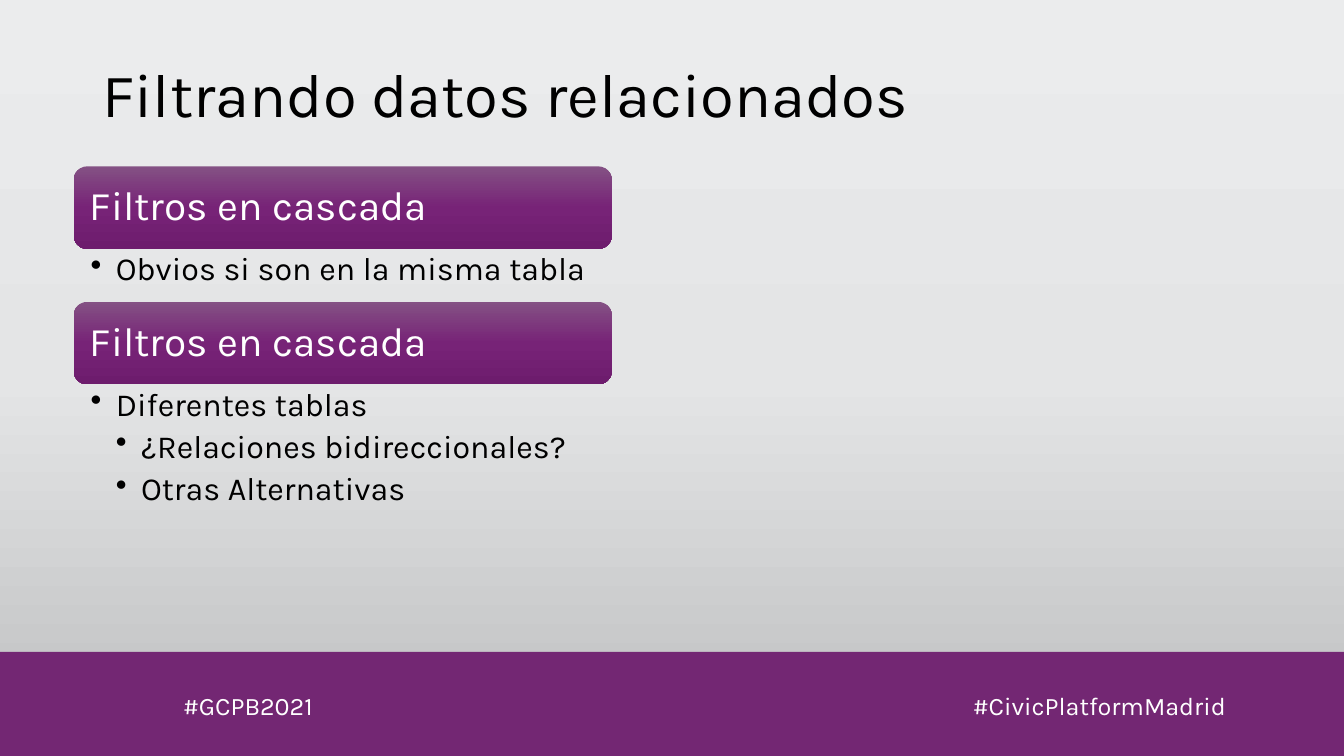
from copy import deepcopy

from pptx import Presentation
from pptx.dml.color import RGBColor
from pptx.enum.shapes import MSO_SHAPE as SHAPE
from pptx.enum.text import MSO_ANCHOR as ANCHOR, PP_ALIGN as ALIGN
from pptx.oxml.ns import qn
from pptx.util import Pt

FONT = "Karla"
BLACK, WHITE, PURPLE = "000000", "FFFFFF", "732773"
BACKGROUND = ["EBECED", "E4E5E6", "BDBEBF"]
BAR_SHADES = ["845184", "772377", "6D1C6D"]
BAR_HEIGHT = 59
TOPICS = [
    ("Filtros en cascada", 37.8, [(1, "Obvios si son en la misma tabla")]),
    ("Filtros en cascada", 134.6, [
        (1, "Diferentes tablas"),
        (2, "¿Relaciones bidireccionales?"),
        (2, "Otras Alternativas"),
    ]),
]


def rgb(color):
    return RGBColor.from_string(color)


def fill_gradient(fill, element, colors):
    fill.gradient()
    fill.gradient_angle = 270
    stop_list = element.find(".//" + qn("a:gsLst"))
    stop_list.append(deepcopy(stop_list[0]))
    for i, (stop, color) in enumerate(zip(fill.gradient_stops, colors)):
        stop.position = i / (len(colors) - 1)
        stop.color.rgb = rgb(color)


def add_box(slide, x, y, w, h, shape=None):
    box = [Pt(v) for v in (x, y, w, h)]
    if shape is None:
        return slide.shapes.add_textbox(*box)
    sp = slide.shapes.add_shape(shape, *box)
    sp.shadow.inherit = False
    sp.line.fill.background()
    return sp


def set_frame(sp, insets=(7.2, 3.6, 7.2, 3.6), anchor=ANCHOR.TOP):
    tf = sp.text_frame
    tf.word_wrap = True
    tf.vertical_anchor = anchor
    tf.margin_left, tf.margin_top, tf.margin_right, tf.margin_bottom = map(Pt, insets)
    return tf


def write(p, text, size, color, align=ALIGN.LEFT, spacing=0.9):
    p.text = text
    p.alignment = align
    p.line_spacing = spacing
    p.font.name = FONT
    p.font.size = Pt(size)
    p.font.color.rgb = rgb(color)


def set_bullet(p, level):
    p.level = level
    pPr = p._p.get_or_add_pPr()
    pPr.set("marL", str(Pt(18 * level)))
    pPr.set("indent", str(-Pt(18)))
    bullet = pPr.makeelement(qn("a:buChar"), {"char": "•"})
    pPr.insert_element_before(bullet, "a:tabLst", "a:defRPr", "a:extLst")


def add_title(slide, x, y, w, h):
    tf = set_frame(add_box(slide, x, y, w, h), anchor=ANCHOR.MIDDLE)
    write(tf.paragraphs[0], "Filtrando datos relacionados", 44, BLACK)


def add_footer(slide, x, y, w, h):
    band = add_box(slide, x, y, w, h, SHAPE.RECTANGLE)
    band.fill.solid()
    band.fill.fore_color.rgb = rgb(PURPLE)
    for left, width, tag in [(109.4, 121, "#GCPB2021"), (571.7, 311, "#CivicPlatformMadrid")]:
        tf = set_frame(add_box(slide, x + left, y + 23.8, width, 29))
        write(tf.paragraphs[0], tag, 18, WHITE, ALIGN.RIGHT, 1)


def add_topic(slide, x, y, w, h, heading, items):
    bar = add_box(slide, x, y, w, BAR_HEIGHT, SHAPE.ROUNDED_RECTANGLE)
    fill_gradient(bar.fill, bar.element, BAR_SHADES)
    tf = set_frame(bar, (8.7, 8.7, 8.7, 8.7), ANCHOR.MIDDLE)
    write(tf.paragraphs[0], heading, 29, WHITE)

    body = add_box(slide, x, y + BAR_HEIGHT, w, h - BAR_HEIGHT)
    tf = set_frame(body, (12.2, 2.9, 16.6, 2.9))
    for i, (level, text) in enumerate(items):
        p = tf.add_paragraph() if i else tf.paragraphs[0]
        write(p, text, 23, BLACK)
        p.space_after = Pt(5.4)
        set_bullet(p, level)


def add_topics(slide, x, y, w):
    for heading, body_height, items in TOPICS:
        h = BAR_HEIGHT + body_height
        add_topic(slide, x, y, w, h, heading, items)
        y += h


def main():
    prs = Presentation()
    prs.slide_width, prs.slide_height = Pt(960), Pt(540)
    s = prs.slides.add_slide(prs.slide_layouts[6])
    fill_gradient(s.background.fill, s.element, BACKGROUND)
    add_footer(s, 0, 465.6, 960, 74.4)
    add_title(s, 66, 28.8, 828, 81.4)
    add_topics(s, 52.6, 118.8, 384.5)
    prs.save("out.pptx")


if __name__ == "__main__":
    main()
